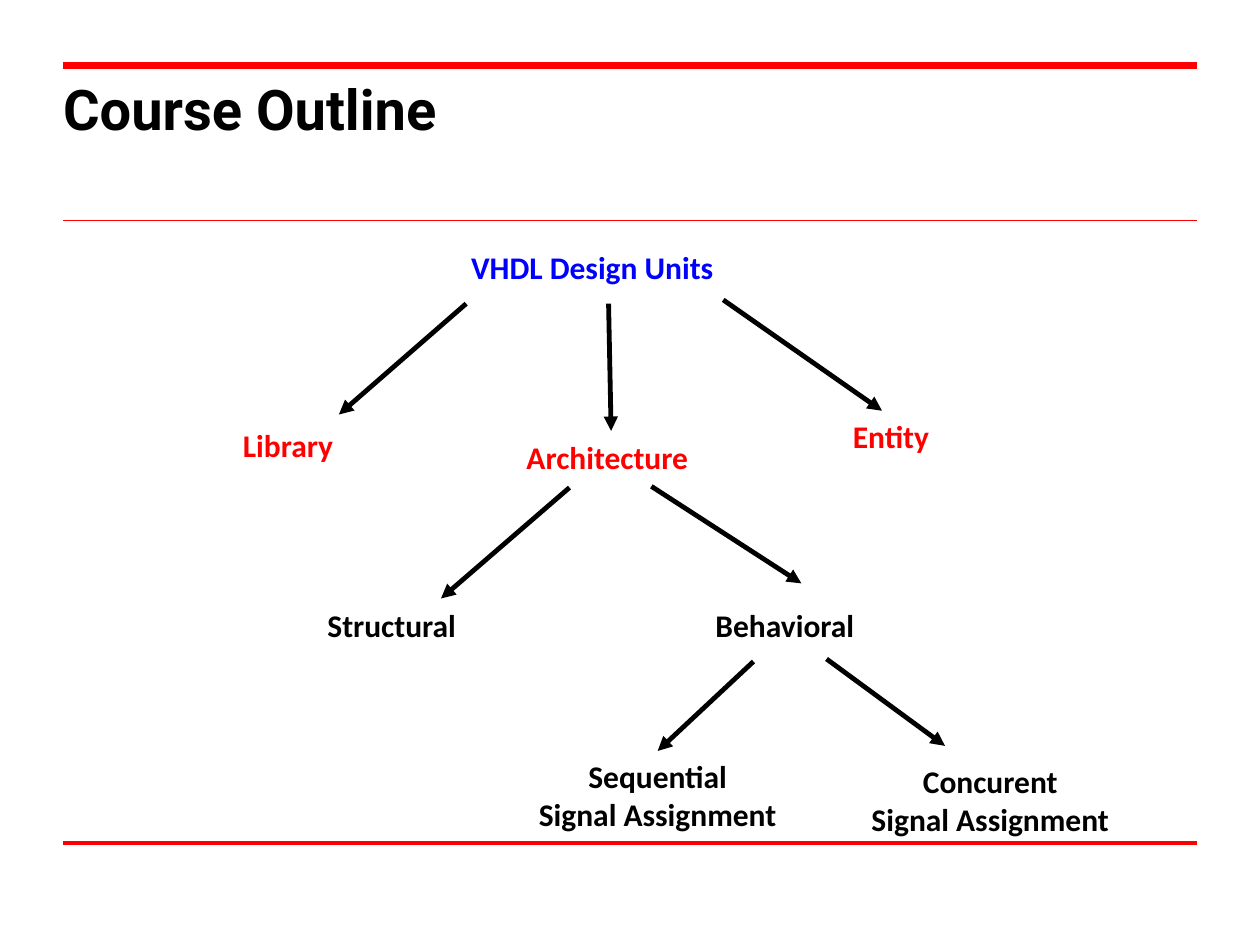
from lxml import etree
from pptx import Presentation
from pptx.dml.color import RGBColor
from pptx.enum.shapes import MSO_CONNECTOR
from pptx.enum.text import MSO_ANCHOR, MSO_AUTO_SIZE, PP_ALIGN
from pptx.oxml.ns import qn
from pptx.util import Inches, Pt

STRAIGHT = MSO_CONNECTOR.STRAIGHT
TOP = MSO_ANCHOR.TOP
FIT_SHAPE = MSO_AUTO_SIZE.SHAPE_TO_FIT_TEXT
LEFT, CENTER = PP_ALIGN.LEFT, PP_ALIGN.CENTER

RED = RGBColor(0xFF, 0x00, 0x00)
BLUE = RGBColor(0x00, 0x00, 0xFF)
BLACK = RGBColor(0x00, 0x00, 0x00)

TITLE_FONT = {"name": "Roboto", "size": Pt(32), "bold": True}
NODE_FONT = {"name": "Calibri", "size": Pt(18), "bold": True}
NO_INSETS = {"margin_left": 0, "margin_top": 0, "margin_right": 0, "margin_bottom": 0}


def set_attrs(obj, values):
    for name, value in values.items():
        setattr(obj, name, value)


class OutlineSlide:
    """Draws rules, arrows and text in the style of the outline."""

    def __init__(self, prs):
        self.s = prs.slides.add_slide(prs.slide_layouts[6])

    def line(self, x1, y1, x2, y2, color, width):
        sp = self.s.shapes.add_connector(
            STRAIGHT, Inches(x1), Inches(y1), Inches(x2), Inches(y2))
        sp.line.color.rgb = color
        sp.line.width = Pt(width)
        etree.SubElement(sp._element.spPr, qn("a:effectLst"))
        return sp

    def rule(self, y, width):
        self.line(0.5, y, 9.5, y, RED, width)

    def arrow(self, x1, y1, x2, y2):
        sp = self.line(x1, y1, x2, y2, BLACK, 2.75)
        etree.SubElement(sp.line._get_or_add_ln(), qn("a:tailEnd"), type="triangle")

    def text(self, box, lines, font, color, frame, para):
        sp = self.s.shapes.add_textbox(*(Inches(v) for v in box))
        tf = sp.text_frame
        set_attrs(tf, {"vertical_anchor": TOP, **frame})
        for i, line in enumerate(lines):
            p = tf.add_paragraph() if i else tf.paragraphs[0]
            set_attrs(p, para)
            r = p.add_run()
            r.text = line
            set_attrs(r.font, font)
            r.font.color.rgb = color

    def title(self, text):
        self.text((0.5, 0.59, 8.99, 1), [text], TITLE_FONT, BLACK,
                  {"word_wrap": True, **NO_INSETS}, {"alignment": LEFT})

    def node(self, x, y, width, text, color):
        self.text((x, y, width, 0.4), [text], NODE_FONT, color,
                  {"word_wrap": True, "auto_size": FIT_SHAPE},
                  {"alignment": LEFT, "space_after": Pt(7.2)})

    def leaf(self, x, y, lines):
        self.text((x, y, 2.46, 0.71), lines, NODE_FONT, BLACK,
                  {"word_wrap": False, "auto_size": FIT_SHAPE},
                  {"alignment": CENTER})


def main():
    prs = Presentation()
    prs.slide_width, prs.slide_height = Inches(10), Inches(7.5)
    outline = OutlineSlide(prs)

    # Red rules and title
    for y, width in ((6.69, 2.5), (1.75, 1), (0.52, 4)):
        outline.rule(y, width)
    outline.title("Course Outline")

    # Single-line tree nodes
    for node in (
        (3.64, 1.92, 2.72, "VHDL Design Units", BLUE),
        (1.83, 3.33, 1.26, "Library", RED),
        (4.08, 3.43, 1.75, "Architecture", RED),
        (6.67, 3.26, 1.2, "Entity", RED),
        (2.5, 4.76, 1.58, "Structural", BLACK),
        (5.58, 4.76, 1.58, "Behavioral", BLACK),
    ):
        outline.node(*node)

    # Two-line leaves
    for x, y, kind in ((3.99, 5.96, "Sequential"), (6.63, 6, "Concurent")):
        outline.leaf(x, y, [kind, "Signal Assignment"])

    # Arrows from parent to child
    for ends in (
        (3.7, 2.41, 2.69, 3.29),
        (4.83, 2.41, 4.85, 3.42),
        (5.74, 2.38, 7, 3.26),
        (4.52, 3.87, 3.5, 4.75),
        (5.17, 3.86, 6.36, 4.63),
        (5.98, 5.25, 5.22, 5.96),
        (6.56, 5.23, 7.5, 5.92),
    ):
        outline.arrow(*ends)

    prs.save("out.pptx")


if __name__ == "__main__":
    main()
